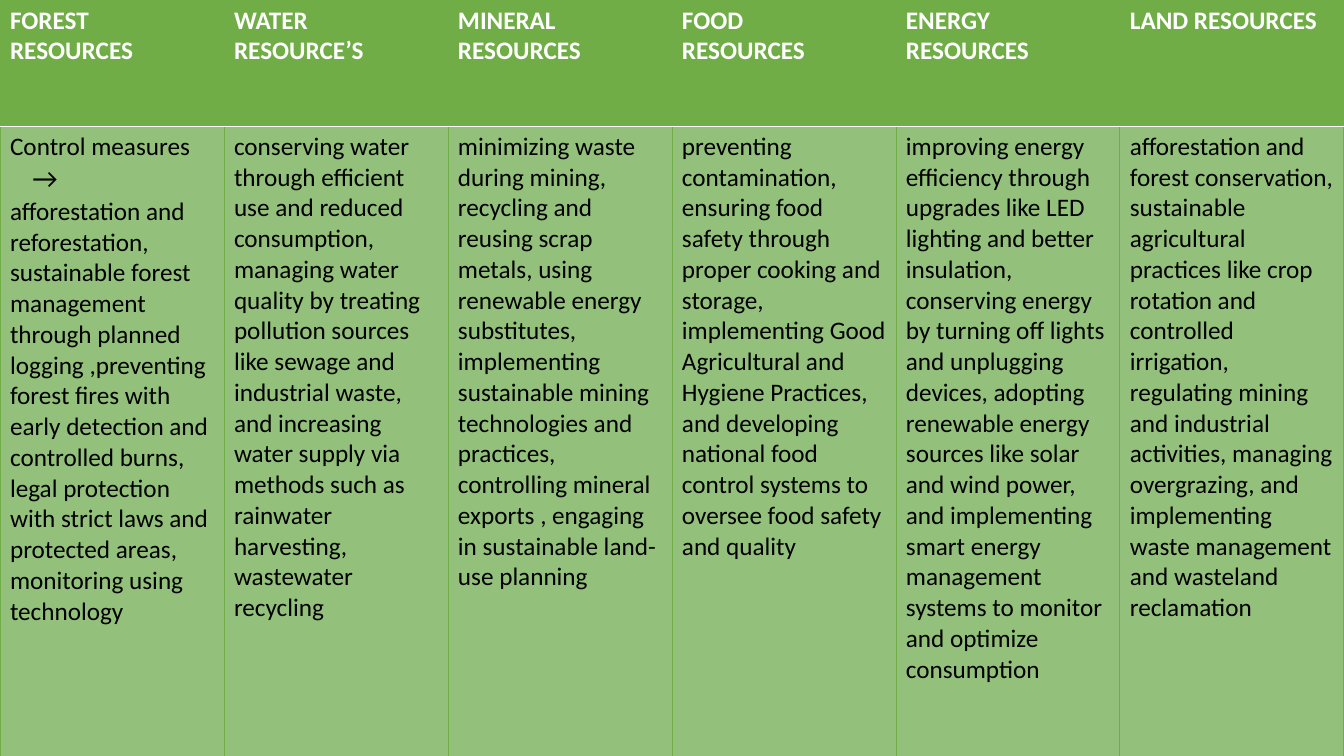
from lxml import etree
from pptx import Presentation
from pptx.dml.color import RGBColor
from pptx.oxml.ns import qn
from pptx.util import Cm, Pt

GREEN, PALE_GREEN, WHITE, BLACK = "70AD47", "93C17B", "FFFFFF", "000000"
SLIDE_WIDTH, SLIDE_HEIGHT, HEADER_HEIGHT = 33.87, 19.05, 3.18

RESOURCES = [
    (["FOREST", "RESOURCES"],
     ["Control measures", "→",
      "afforestation and reforestation, sustainable forest management through "
      "planned logging ,preventing forest fires with early detection and "
      "controlled burns, legal protection with strict laws and protected areas, "
      "monitoring using technology"]),
    (["WATER", "RESOURCE’S"],
     ["conserving water through efficient use and reduced consumption, managing "
      "water quality by treating pollution sources like sewage and industrial "
      "waste, and increasing water supply via methods such as rainwater "
      "harvesting, wastewater recycling"]),
    (["MINERAL", "RESOURCES"],
     ["minimizing waste during mining, recycling and reusing scrap metals, using "
      "renewable energy substitutes, implementing sustainable mining technologies "
      "and practices, controlling mineral exports , engaging in sustainable "
      "land-use planning"]),
    (["FOOD", "RESOURCES"],
     ["preventing contamination, ensuring food safety through proper cooking and "
      "storage, implementing Good Agricultural and Hygiene Practices, and "
      "developing national food control systems to oversee food safety and "
      "quality"]),
    (["ENERGY", "RESOURCES"],
     ["improving energy efficiency through upgrades like LED lighting and better "
      "insulation, conserving energy by turning off lights and unplugging "
      "devices, adopting renewable energy sources like solar and wind power, and "
      "implementing smart energy management systems to monitor and optimize "
      "consumption"]),
    (["LAND RESOURCES"],
     ["afforestation and forest conservation, sustainable agricultural practices "
      "like crop rotation and controlled irrigation, regulating mining and "
      "industrial activities, managing overgrazing, and implementing waste "
      "management and wasteland reclamation"]),
]


def rgb(value):
    return RGBColor.from_string(value)


class SlideBuilder:
    font_name = "Calibri"
    font_size = 18

    def __init__(self, slide):
        self.slide = slide

    def table(self, columns, width, header_height, body_height):
        table = self.slide.shapes.add_table(
            2, len(columns), Cm(0), Cm(0),
            Cm(width), Cm(header_height + body_height)).table
        table.horz_banding = False
        table.rows[0].height = Cm(header_height)
        table.rows[1].height = Cm(body_height)
        for index, (heading, measures) in enumerate(columns):
            table.columns[index].width = Cm(width / len(columns))
            self.cell(table.cell(0, index), heading, GREEN, WHITE, True,
                      {"lnB": (WHITE, 1)})
            self.cell(table.cell(1, index), measures, PALE_GREEN, BLACK, False,
                      {"lnT": (WHITE, 1)})

    def cell(self, cell, lines, fill, color, bold, special_borders):
        for side in ("lnL", "lnR", "lnT", "lnB"):
            self.border(cell, side, *special_borders.get(side, (GREEN, 0.5)))
        cell.fill.solid()
        cell.fill.fore_color.rgb = rgb(fill)
        cell.text = "\n".join(lines)
        for paragraph in cell.text_frame.paragraphs:
            is_arrow = paragraph.text == "→"
            if is_arrow:
                paragraph._p.get_or_add_pPr().set("marL", str(Cm(0.56)))
            paragraph.font.name = self.font_name
            paragraph.font.size = Pt(20 if is_arrow else self.font_size)
            paragraph.font.bold = bold
            paragraph.font.color.rgb = rgb(color)

    def border(self, cell, side, color, width):
        properties = cell._tc.get_or_add_tcPr()
        line = etree.SubElement(properties, qn(f"a:{side}"), w=str(Pt(width)))
        fill = etree.SubElement(line, qn("a:solidFill"))
        etree.SubElement(fill, qn("a:srgbClr"), val=color)


def main():
    presentation = Presentation()
    presentation.slide_width = Cm(SLIDE_WIDTH)
    presentation.slide_height = Cm(SLIDE_HEIGHT)
    blank_layout = presentation.slide_layouts[6]
    builder = SlideBuilder(presentation.slides.add_slide(blank_layout))
    builder.table(RESOURCES, SLIDE_WIDTH, HEADER_HEIGHT,
                  SLIDE_HEIGHT - HEADER_HEIGHT)
    presentation.save("out.pptx")


if __name__ == "__main__":
    main()
